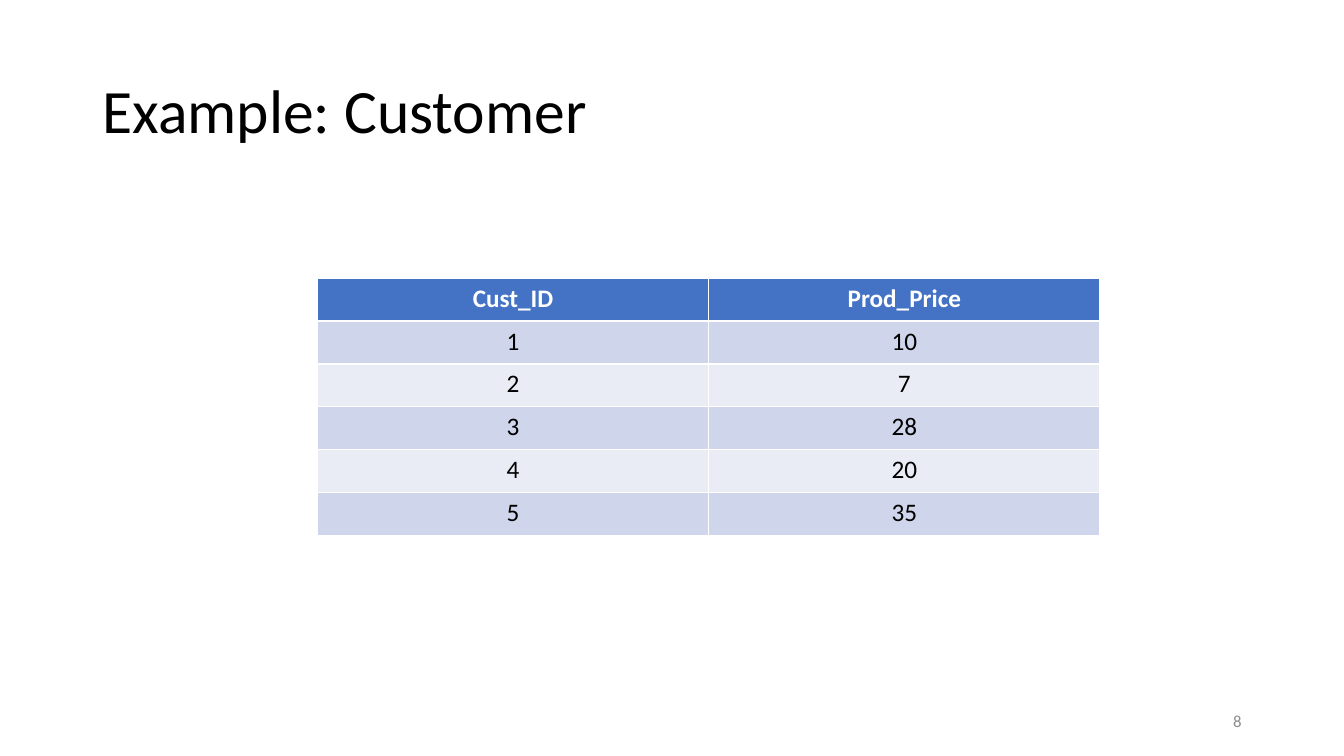
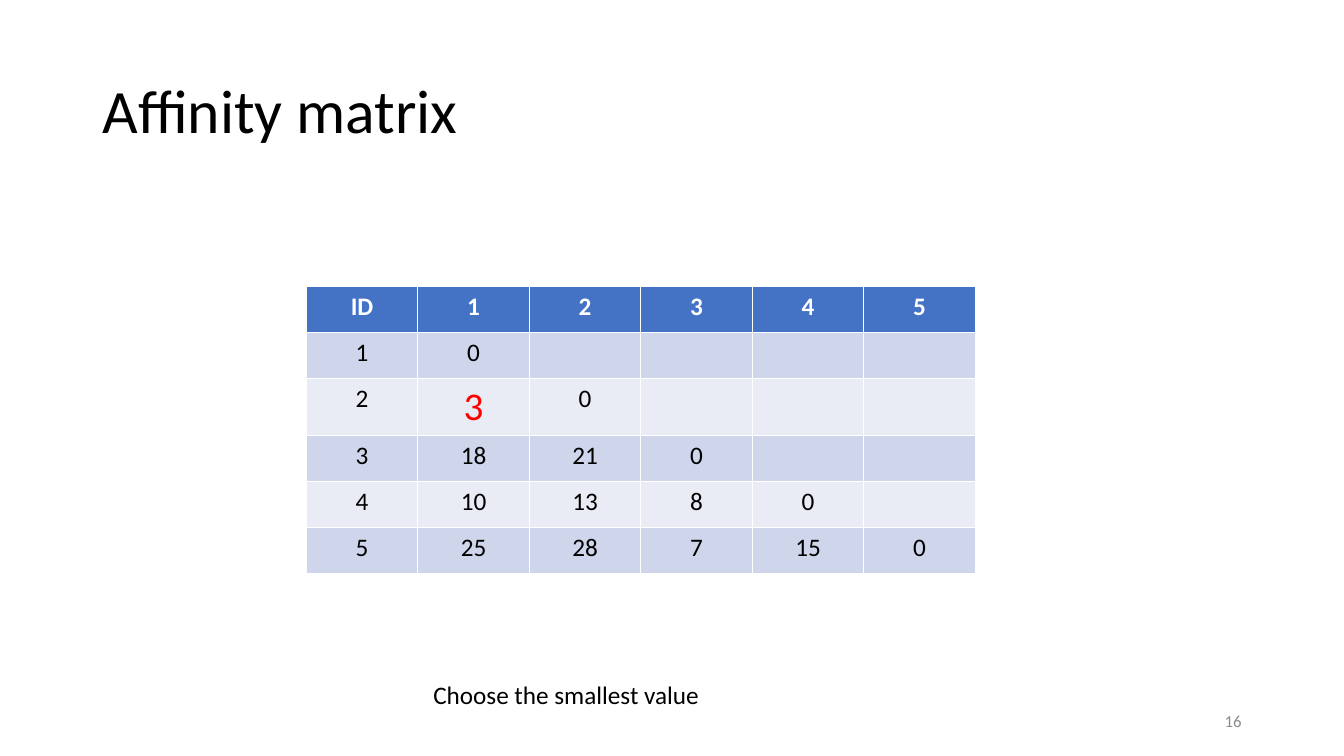
from pptx import Presentation
from pptx.dml.color import RGBColor
from pptx.enum.text import MSO_ANCHOR, PP_ALIGN
from pptx.util import Cm, Pt

LEFT, CENTER, RIGHT = PP_ALIGN.LEFT, PP_ALIGN.CENTER, PP_ALIGN.RIGHT
TOP, MIDDLE = MSO_ANCHOR.TOP, MSO_ANCHOR.MIDDLE
TITLE_ONLY = 5


def rgb(value):
    return RGBColor.from_string(value)


class Deck:
    """Shared style and the current slide."""
    FONT = "Calibri"
    BLACK, WHITE, GRAY, RED = "000000", "FFFFFF", "8C8C8C", "FF0000"
    HEADER, BANDS = "4472C4", ("CFD5EA", "E9EBF5")

    def __init__(self):
        self.prs = Presentation()
        self.prs.slide_width, self.prs.slide_height = Cm(33.87), Cm(19.05)

    def style(self, p, size, color, align=LEFT, bold=False):
        p.alignment = align
        p.font.name, p.font.size, p.font.bold = self.FONT, Pt(size), bold
        p.font.color.rgb = rgb(color)

    def slide(self, title, number):
        self.s = self.prs.slides.add_slide(self.prs.slide_layouts[TITLE_ONLY])
        sp = self.s.shapes.title
        sp.left, sp.top, sp.width, sp.height = Cm(2.33), Cm(1.01), Cm(29.21), Cm(3.68)
        tf = sp.text_frame
        tf.text = title
        tf.vertical_anchor = MIDDLE
        p = tf.paragraphs[0]
        p.line_spacing = 0.9
        self.style(p, 44, self.BLACK)
        self.text(number, 23.92, 17.66, 7.62, 1.01, 12, self.GRAY, RIGHT, MIDDLE)

    def text(self, text, x, y, w, h, size, color, align=LEFT, anchor=TOP):
        tf = self.s.shapes.add_textbox(Cm(x), Cm(y), Cm(w), Cm(h)).text_frame
        tf.word_wrap = True
        tf.vertical_anchor = anchor
        tf.text = text
        self.style(tf.paragraphs[0], size, color, align)

    def table(self, rows, x, y, col_w, row_h, highlight=None):
        """Banded table; the highlighted (row, column) is large and red."""
        n_rows, n_cols = len(rows), len(rows[0])
        table = self.s.shapes.add_table(n_rows, n_cols, Cm(x), Cm(y),
                                        Cm(col_w * n_cols), Cm(row_h * n_rows)).table
        for col in table.columns:
            col.width = Cm(col_w)
        for i, values in enumerate(rows):
            table.rows[i].height = Cm(row_h)
            header = i == 0
            for j in range(n_cols):
                cell = table.cell(i, j)
                cell.fill.solid()
                cell.fill.fore_color.rgb = rgb(self.HEADER if header else self.BANDS[(i - 1) % 2])
                if j < len(values):
                    cell.text = str(values[j])
                size, color = 18, self.WHITE if header else self.BLACK
                if (i, j) == highlight:
                    size, color = 28, self.RED
                self.style(cell.text_frame.paragraphs[0], size, color, CENTER, header)


def main():
    deck = Deck()

    # Customer data
    deck.slide("Example: Customer", "8")
    prices = [10, 7, 28, 20, 35]
    deck.table([["Cust_ID", "Prod_Price"], *enumerate(prices, 1)], 8, 7.01, 9.86, 1.08)

    # Lower triangle of price differences
    deck.slide("Affinity matrix", "16")
    matrix = [["ID", 1, 2, 3, 4, 5]]
    for i, price in enumerate(prices, 1):
        matrix.append([i] + [abs(price - other) for other in prices[:i]])
    deck.table(matrix, 7.72, 7.21, 2.81, 1.16, highlight=(2, 1))
    deck.text("Choose the smallest value", 10.67, 16.99, 7.32, 1.03, 18, deck.BLACK)

    deck.prs.save("out.pptx")


if __name__ == "__main__":
    main()
